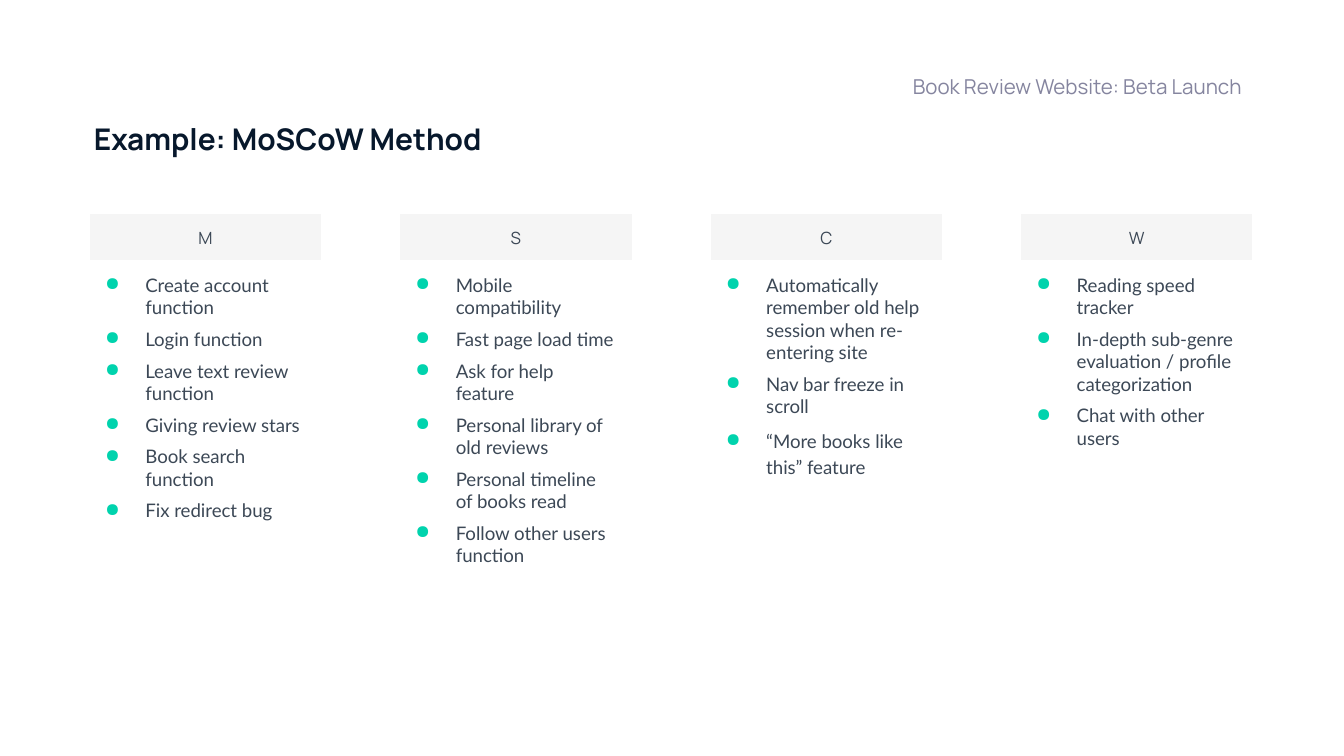
"""Build the MoSCoW method example slide."""
from lxml import etree
from pptx import Presentation
from pptx.dml.color import RGBColor
from pptx.enum.text import MSO_ANCHOR, PP_ALIGN
from pptx.oxml.ns import qn
from pptx.util import Pt

TOP, BOTTOM = MSO_ANCHOR.TOP, MSO_ANCHOR.BOTTOM
LEFT, CENTER, RIGHT = PP_ALIGN.LEFT, PP_ALIGN.CENTER, PP_ALIGN.RIGHT
NAVY = RGBColor(0x07, 0x18, 0x2C)
MUTED = RGBColor(0x85, 0x85, 0x9F)
SLATE = RGBColor(0x3C, 0x48, 0x56)
GRAY = RGBColor(0xF5, 0xF5, 0xF5)
TEAL = RGBColor(0x00, 0xD3, 0xAD)

HEADINGS = [
    ("Example: MoSCoW Method", (43.2, 57.6, 467.3, 33.8), TOP, LEFT, 7.2,
     {"size": Pt(16), "name": "Manrope", "bold": True}, NAVY),
    ("Book Review Website: Beta Launch", (360, 33.1, 312.5, 23.8), BOTTOM, RIGHT, 4.3,
     {"size": Pt(11), "name": "Manrope"}, MUTED),
]
COLUMNS = [
    ("M", ["Create account function", "Login function", "Leave text review function",
           "Giving review stars", "Book search function", "Fix redirect bug"]),
    ("S", ["Mobile compatibility", "Fast page load time", "Ask for help feature",
           "Personal library of old reviews", "Personal timeline of books read",
           "Follow other users function"]),
    ("C", ["Automatically remember old help session when re-entering site",
           "Nav bar freeze in scroll", "“More books like this” feature"]),
    ("W", ["Reading speed tracker", "In-depth sub-genre evaluation / profile categorization",
           "Chat with other users"]),
]
LOOSE_ITEM = "“More books like this” feature"
HEADER_FONT = {"size": Pt(9), "name": "Manrope", "bold": False}
ITEM_FONT = {"size": Pt(10), "name": "Lato", "bold": False}
TABLE_LEFT, TABLE_TOP, TABLE_STEP = 47.7, 114.3, 166.3
COL_WIDTH = 62.4
ROW_HEIGHTS = [24.5, 69.8, 72, 72]


def write(p, text, font, color):
    r = p.add_run()
    r.text = text
    for name, value in font.items():
        setattr(r.font, name, value)
    r.font.color.rgb = color


def set_margins(target, left, top, right, bottom):
    sides = {"left": left, "top": top, "right": right, "bottom": bottom}
    for side, value in sides.items():
        setattr(target, f"margin_{side}", Pt(value))


def add_bullet(p):
    pPr = p._p.get_or_add_pPr()
    pPr.set("marL", str(Pt(21.6)))
    pPr.set("indent", str(Pt(-23)))
    color = etree.SubElement(pPr, qn("a:buClr"))
    etree.SubElement(color, qn("a:srgbClr"), val=str(TEAL))
    etree.SubElement(pPr, qn("a:buChar"), char="●")


def add_heading(slide, text, box, anchor, align, bottom, font, color):
    tf = slide.shapes.add_textbox(*map(Pt, box)).text_frame
    tf.word_wrap = True
    tf.vertical_anchor = anchor
    set_margins(tf, 7.2, 7.2, 7.2, bottom)
    p = tf.paragraphs[0]
    p.alignment = align
    write(p, text, font, color)


def add_column(slide, index, letter, items):
    x = TABLE_LEFT + index * TABLE_STEP
    table = slide.shapes.add_table(len(ROW_HEIGHTS), 2, Pt(x), Pt(TABLE_TOP),
                                   Pt(2 * COL_WIDTH), Pt(sum(ROW_HEIGHTS))).table
    table.first_row = table.horz_banding = False
    for col in table.columns:
        col.width = Pt(COL_WIDTH)
    for row, height in zip(table.rows, ROW_HEIGHTS):
        row.height = Pt(height)
    for cell in table.iter_cells():
        cell.fill.background()
        set_margins(cell, 8.6, 7.2, 8.6, 7.2)

    header, body = table.cell(0, 0), table.cell(1, 0)
    header.merge(table.cell(0, 1))
    body.merge(table.cell(3, 1))
    header.fill.solid()
    header.fill.fore_color.rgb = GRAY
    p = header.text_frame.paragraphs[0]
    p.alignment = CENTER
    write(p, letter, HEADER_FONT, SLATE)

    tf = body.text_frame
    for i, item in enumerate(items):
        p = tf.add_paragraph() if i else tf.paragraphs[0]
        add_bullet(p)
        if i:
            p.space_before = Pt(5)
        if item == LOOSE_ITEM:
            p.line_spacing = 1.15
        write(p, item, ITEM_FONT, SLATE)


def main():
    prs = Presentation()
    prs.slide_width, prs.slide_height = Pt(720), Pt(405)
    slide = prs.slides.add_slide(prs.slide_layouts[6])
    for heading in HEADINGS:
        add_heading(slide, *heading)
    for index, (letter, items) in enumerate(COLUMNS):
        add_column(slide, index, letter, items)
    prs.save("out.pptx")


if __name__ == "__main__":
    main()
